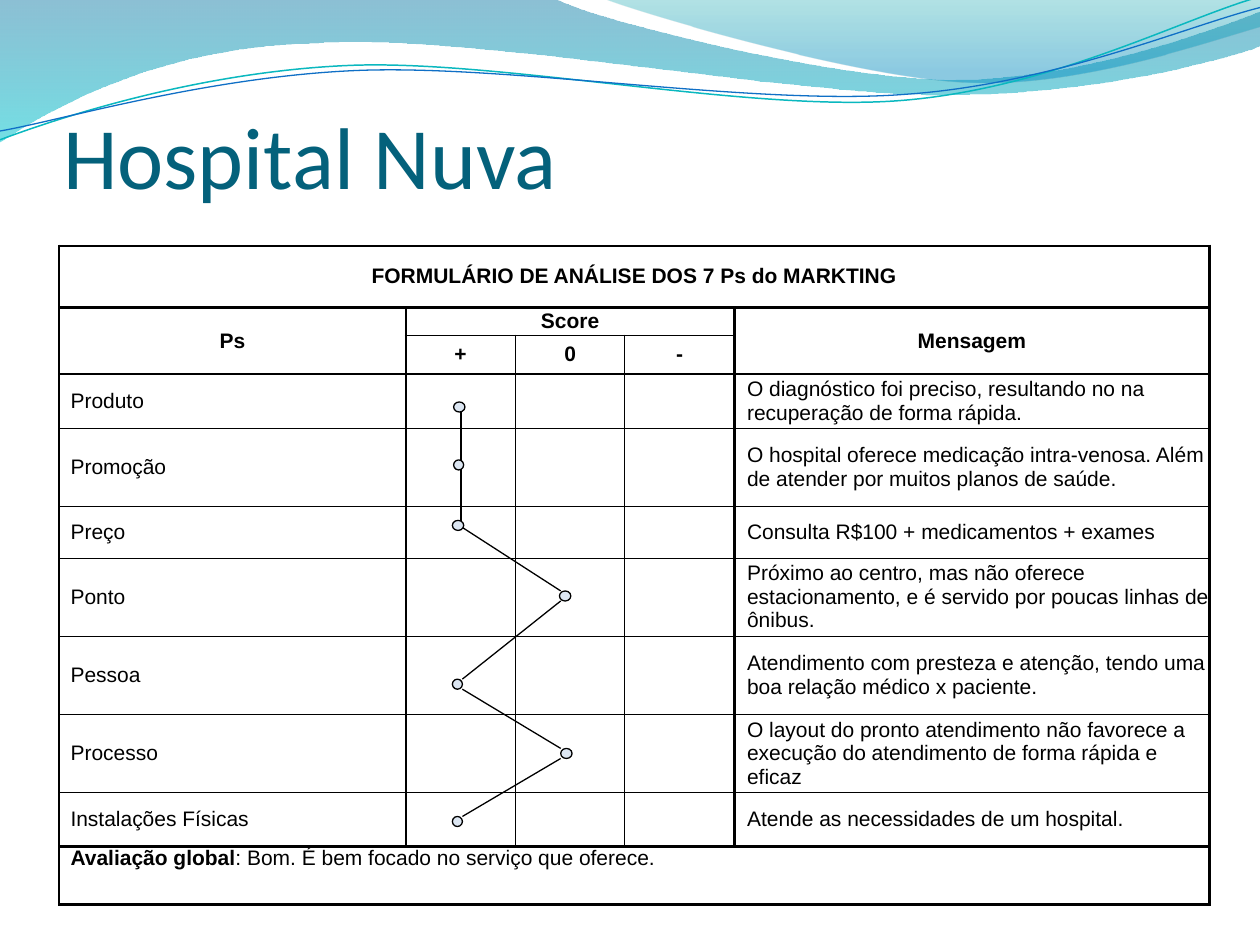
"""Build a slide with a hospital's 7 Ps marketing analysis form."""
from lxml import etree
from pptx import Presentation
from pptx import util as u
from pptx.dml.color import RGBColor
from pptx.enum import shapes, text
from pptx.oxml.ns import qn

COLORS = {"title": "04617B", "ink": "000000", "dot": "DCE6F2",
          "blue": "0074A1", "cyan": "00C6CF", "teal": "00A1A9", "sky": "008BBF",
          "upper_line": "0AB8BF", "lower_line": "0F6FC6"}
HEAVY, THIN = 1.5, 0.5
HEAVY_COLUMN_EDGES = {0, 1, 4, 5}
HEAVY_ROW_EDGES = {0, 1, 3, 10, 11}


def color(name):
    return RGBColor.from_string(COLORS[name])


def write(frame, *parts, size=12, font="Arial", ink="ink", bold=False,
          align=text.PP_ALIGN.LEFT, anchor=text.MSO_ANCHOR.MIDDLE):
    """Write parts as runs; a part may be a (words, bold) pair."""
    frame.word_wrap = True
    frame.vertical_anchor = anchor
    paragraph = frame.paragraphs[0]
    paragraph.alignment = align
    for part in parts:
        words, heavy = part if isinstance(part, tuple) else (part, bold)
        run = paragraph.add_run()
        run.text = words
        run.font.size, run.font.name, run.font.bold = u.Pt(size), font, heavy
        run.font.color.rgb = color(ink)


class Form:
    """Hold the style and the slide being built."""

    def __init__(self, slide, line_width=0.75):
        self.slide = slide
        self.line_width = line_width

    def stroke(self, line, name="ink", width=None):
        line.color.rgb = color(name)
        line.width = u.Pt(width or self.line_width)

    def wave(self, start, segments, stops=None, line=None, width=None):
        points = [(u.Inches(x), u.Inches(y)) for segment in segments for x, y in segment]
        builder = self.slide.shapes.build_freeform(*map(u.Inches, start))
        builder.add_line_segments(points, close=bool(stops))
        wave = builder.convert_to_shape()
        wave.shadow.inherit = False
        steps = iter(list(wave._element.iter(qn("a:lnTo"))))
        for segment in segments:
            pieces = [next(steps) for _ in segment]
            if len(pieces) == 3:
                curve = etree.Element(qn("a:cubicBezTo"))
                pieces[0].addprevious(curve)
                for piece in pieces:
                    curve.append(piece[0])
                    piece.getparent().remove(piece)
        if line:
            wave.fill.background()
            self.stroke(wave.line, line, width)
            return
        wave.line.fill.background()
        wave.fill.gradient()
        wave.fill.gradient_angle = 270
        for stop, (position, name, opacity) in zip(wave.fill.gradient_stops, stops):
            stop.position = position
            stop.color.rgb = color(name)
        for tint, (_, _, opacity) in zip(wave._element.iter(qn("a:srgbClr")), stops):
            etree.SubElement(tint, qn("a:alpha")).set("val", str(opacity * 1000))

    def title(self, words):
        title = self.slide.shapes.title
        title.left, title.top, title.width, title.height = map(u.Inches, (0.5, 0.55, 9, 1.09))
        frame = title.text_frame
        frame.margin_left = frame.margin_right = frame.margin_bottom = 0
        write(frame, words, size=50, font="Calibri", ink="title", anchor=text.MSO_ANCHOR.BOTTOM)
        self.slide.shapes._spTree.append(title._element)

    def table(self, left, top, widths, heights):
        frame = self.slide.shapes.add_table(
            len(heights), len(widths), u.Inches(left), u.Inches(top),
            u.Inches(sum(widths)), u.Inches(sum(heights)))
        grid = frame.table
        grid.first_row = grid.horz_banding = False
        for column, width in zip(grid.columns, widths):
            column.width = u.Inches(width)
        for row, height in zip(grid.rows, heights):
            row.height = u.Inches(height)
        for cell in grid.iter_cells():
            cell.margin_left = cell.margin_right = cell.margin_top = cell.margin_bottom = 0
            end = etree.SubElement(cell.text_frame.paragraphs[0]._p, qn("a:endParaRPr"))
            end.set("sz", "1200")
        return grid

    def cell(self, grid, row, column, *parts, indent=0.0, anchor=text.MSO_ANCHOR.MIDDLE, **style):
        cell = grid.cell(row, column)
        cell.margin_left = u.Inches(indent)
        write(cell.text_frame, *parts, **style)
        cell.vertical_anchor = anchor

    def borders(self, grid):
        for row in range(len(grid.rows)):
            for column in range(len(grid.columns)):
                cell = grid.cell(row, column)
                if cell.is_spanned:
                    continue
                right = column + (cell.span_width if cell.is_merge_origin else 1)
                bottom = row + (cell.span_height if cell.is_merge_origin else 1)
                properties = cell._tc.get_or_add_tcPr()
                for side, edge, heavy in (("L", column, HEAVY_COLUMN_EDGES),
                                          ("R", right, HEAVY_COLUMN_EDGES),
                                          ("T", row, HEAVY_ROW_EDGES),
                                          ("B", bottom, HEAVY_ROW_EDGES)):
                    border = etree.SubElement(properties, qn("a:ln" + side))
                    border.set("w", str(u.Pt(HEAVY if edge in heavy else THIN)))
                    fill = etree.SubElement(border, qn("a:solidFill"))
                    etree.SubElement(fill, qn("a:srgbClr")).set("val", COLORS["ink"])
                cell.fill.background()

    def link(self, *ends):
        link = self.slide.shapes.add_connector(shapes.MSO_CONNECTOR.STRAIGHT, *map(u.Inches, ends))
        self.stroke(link.line)
        etree.SubElement(link._element.spPr, qn("a:effectLst"))

    def dot(self, left, top, width, height=0.08):
        dot = self.slide.shapes.add_shape(
            shapes.MSO_SHAPE.OVAL, *map(u.Inches, (left, top, width, height)))
        dot.shadow.inherit = False
        dot.fill.solid()
        dot.fill.fore_color.rgb = color("dot")
        self.stroke(dot.line)


deck = Presentation()
deck.slide_width, deck.slide_height = u.Inches(10), u.Inches(7.5)
form = Form(deck.slides.add_slide(deck.slide_layouts[5]))

form.wave((0, 0), [
    [(4.4, -0.01)], [(4.76, 0.17), (6.64, 0.63), (7.58, 0.63)],
    [(8.53, 0.63), (9.58, 0.26), (10, 0.09)], [(10.01, 0.36)],
    [(9.83, 0.44), (8.7, 0.76), (7.46, 0.75)], [(6.22, 0.75), (3.82, 0.28), (2.57, 0.34)],
    [(1.29, 0.36), (0.46, 0.83), (-0.01, 1.13)],
], stops=[(0, "blue", 45), (1, "cyan", 55)])
form.wave((4.79, -0.01), [
    [(5.09, 0.11), (6.82, 0.62), (7.69, 0.65)], [(8.56, 0.69), (9.61, 0.32), (10, 0.21)],
    [(10, 0)],
], stops=[(0, "teal", 30), (0.8, "sky", 45)])
form.wave((0, 1.11), [
    [(0.48, 0.93), (1.58, 0.57), (2.77, 0.52)], [(3.95, 0.47), (5.93, 0.89), (7.13, 0.8)],
    [(8.33, 0.71), (9.38, 0.15), (9.98, -0.02)],
], line="upper_line", width=0.85)
form.wave((0, 1.04), [
    [(0.47, 0.96), (1.64, 0.61), (2.83, 0.56)], [(4.03, 0.51), (5.97, 0.84), (7.17, 0.75)],
    [(8.36, 0.67), (9.41, 0.21), (10, 0.06)],
], line="lower_line")
form.title("Hospital Nuva")

analysis = form.table(0.47, 1.95, [2.75, 0.87, 0.87, 0.87, 3.77],
                      [0.49, 0.22, 0.31, 0.43, 0.62, 0.41, 0.62, 0.62, 0.62, 0.43, 0.46])
for first, last in [((0, 0), (0, 4)), ((1, 0), (2, 0)), ((1, 1), (1, 3)),
                    ((1, 4), (2, 4)), ((10, 0), (10, 4))]:
    analysis.cell(*first).merge(analysis.cell(*last))
form.borders(analysis)

headings = [(0, 0, "FORMULÁRIO DE ANÁLISE DOS 7 Ps do MARKTING"), (1, 0, "Ps"), (1, 1, "Score"),
            (1, 4, "Mensagem"), (2, 1, "+"), (2, 2, "0"), (2, 3, "-")]
for row, column, heading in headings:
    form.cell(analysis, row, column, heading, bold=True, align=text.PP_ALIGN.CENTER)

messages = {
    "Produto": "O diagnóstico foi preciso, resultando no na recuperação de forma rápida.",
    "Promoção": "O hospital oferece medicação intra-venosa. Além de atender por muitos planos "
                "de saúde.",
    "Preço": "Consulta R$100 + medicamentos + exames",
    "Ponto": "Próximo ao centro, mas não oferece estacionamento, e é servido por poucas linhas "
             "de ônibus.",
    "Pessoa": "Atendimento com presteza e atenção, tendo uma boa relação médico x paciente.",
    "Processo": "O layout do pronto atendimento não favorece a execução do atendimento de forma "
                "rápida e eficaz",
    "Instalações Físicas": "Atende as necessidades de um hospital.",
}
for row, (factor, message) in enumerate(messages.items(), start=3):
    form.cell(analysis, row, 0, factor, indent=0.09)
    form.cell(analysis, row, 4, message, indent=0.1)
form.cell(analysis, 10, 0, ("Avaliação global", True),
          ": Bom. É bem focado no serviço que oferece.", indent=0.09, anchor=text.MSO_ANCHOR.TOP)

for ends in [(3.66, 3.23, 3.66, 4.18), (3.67, 5.47, 4.45, 5.94), (3.66, 4.18, 4.45, 4.69),
             (4.45, 4.77, 3.67, 5.39), (4.45, 6.02, 3.67, 6.48)]:
    form.link(*ends)
for place in [(3.6, 3.19, 0.09), (3.6, 3.65, 0.08), (3.59, 4.13, 0.09), (4.44, 4.69, 0.09),
              (3.59, 5.39, 0.08), (4.45, 5.94, 0.09), (3.59, 6.48, 0.08)]:
    form.dot(*place)

deck.save("out.pptx")
